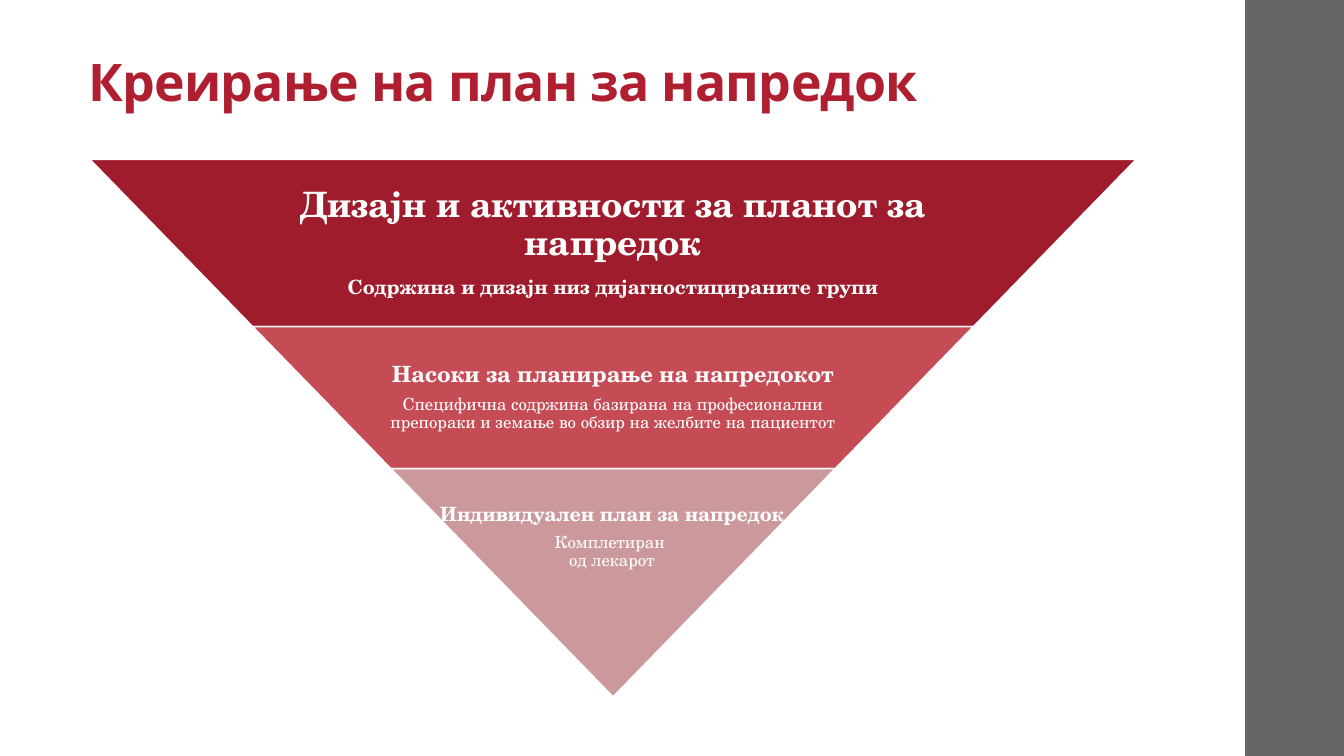
from dataclasses import dataclass

from pptx import Presentation
from pptx import util as u
from pptx.dml.color import RGBColor
from pptx.enum import shapes, text

WHITE = RGBColor(0xFF, 0xFF, 0xFF)
GRAY = RGBColor(0x66, 0x66, 0x66)
TITLE_RED = RGBColor(0xAF, 0x1F, 0x30)
DARK_RED = RGBColor(0x9F, 0x1C, 0x2C)
MID_RED = RGBColor(0xC5, 0x4B, 0x55)
PALE_RED = RGBColor(0xCB, 0x99, 0x9B)

TITLE_FONT = "Open Sans"
BODY_FONT = "TeX Gyre Schola"

FUNNEL_CENTER = 6.08
FUNNEL_TOP = 1.58
FUNNEL_WIDTH = 10.38
SLOPE = 0.973  # horizontal inset of each side per unit of height
LINE_SPACING = 0.9
SPACE_AFTER = 0.42  # share of the font size


@dataclass
class Line:
    wording: str
    size: float
    bold: bool


@dataclass
class Band:
    height: float
    color: RGBColor
    text_share: float  # text width as a share of the band width
    margins: tuple[float, float, float, float]
    lines: list[Line]


BANDS = [
    Band(1.66, DARK_RED, 0.65, (0.03, 0.03, 0.03, 0.03), [
        Line("Дизајн и активности за планот за напредок", 25, True),
        Line("Содржина и дизајн низ дијагностицираните групи", 14, True),
    ]),
    Band(1.41, MID_RED, 0.65, (0.02, 0.02, 0.02, 0.02), [
        Line("Насоки за планирање на напредокот", 16, True),
        Line("Специфична содржина базирана на професионални препораки "
             "и земање во обзир на желбите на пациентот", 12, False),
    ]),
    Band(2.26, PALE_RED, 1, (0, 0, 0.02, 0.9), [
        Line("Индивидуален план за напредок", 14, True),
        Line("Комплетиран \nод лекарот", 12, False),
    ]),
]


def add_filled(slide, kind, left: float, top: float, width: float,
               height: float, color: RGBColor):
    shape = slide.shapes.add_shape(kind, u.Inches(left), u.Inches(top),
                                   u.Inches(width), u.Inches(height))
    shape.shadow.inherit = False
    shape.fill.solid()
    shape.fill.fore_color.rgb = color
    shape.line.fill.background()
    return shape


def add_text_frame(slide, left: float, top: float, width: float, height: float,
                   margins: tuple[float, float, float, float], anchor):
    """Margins run left, top, right, bottom."""
    box = slide.shapes.add_textbox(u.Inches(left), u.Inches(top),
                                   u.Inches(width), u.Inches(height))
    frame = box.text_frame
    frame.word_wrap = True
    frame.vertical_anchor = anchor
    (frame.margin_left, frame.margin_top,
     frame.margin_right, frame.margin_bottom) = map(u.Inches, margins)
    return frame


def write_line(para, line: Line, font: str, color: RGBColor) -> None:
    para.text = line.wording
    para.line_spacing = LINE_SPACING
    for span in para.runs:
        span.font.name = font
        span.font.size = u.Pt(line.size)
        span.font.bold = line.bold
        span.font.color.rgb = color


def add_title(slide) -> None:
    frame = add_text_frame(slide, 0.78, 0, 10.6, 1.17, (0.1, 0.03, 0.1, 0.05),
                           text.MSO_ANCHOR.BOTTOM)
    para = frame.paragraphs[0]
    write_line(para, Line("Креирање на план за напредок", 37, True),
               TITLE_FONT, TITLE_RED)
    para.runs[0]._r.get_or_add_rPr().set("spc", "-50")


def add_band(slide, band: Band, top: float, width: float) -> None:
    trapezoid = add_filled(slide, shapes.MSO_SHAPE.TRAPEZOID,
                           FUNNEL_CENTER - width / 2, top, width,
                           band.height, band.color)
    trapezoid.adjustments[0] = SLOPE
    trapezoid.rotation = 180
    trapezoid.line.color.rgb = WHITE
    trapezoid.line.width = u.Pt(1.1)

    text_width = width * band.text_share
    frame = add_text_frame(slide, FUNNEL_CENTER - text_width / 2, top,
                           text_width, band.height, band.margins,
                           text.MSO_ANCHOR.MIDDLE)
    for index, line in enumerate(band.lines):
        para = frame.add_paragraph() if index else frame.paragraphs[0]
        write_line(para, line, BODY_FONT, WHITE)
        para.alignment = text.PP_ALIGN.CENTER
        para.space_after = u.Pt(line.size * SPACE_AFTER)


def add_funnel(slide) -> None:
    top, width = FUNNEL_TOP, FUNNEL_WIDTH
    for band in BANDS:
        add_band(slide, band, top, width)
        top += band.height
        width -= 2 * SLOPE * band.height


def main() -> None:
    deck = Presentation()
    deck.slide_width = u.Inches(13.33)
    deck.slide_height = u.Inches(7.5)
    slide = deck.slides.add_slide(deck.slide_layouts[6])
    add_filled(slide, shapes.MSO_SHAPE.RECTANGLE, 12.35, 0, 0.98, 7.5, GRAY)
    add_title(slide)
    add_funnel(slide)
    deck.save("out.pptx")


if __name__ == "__main__":
    main()
